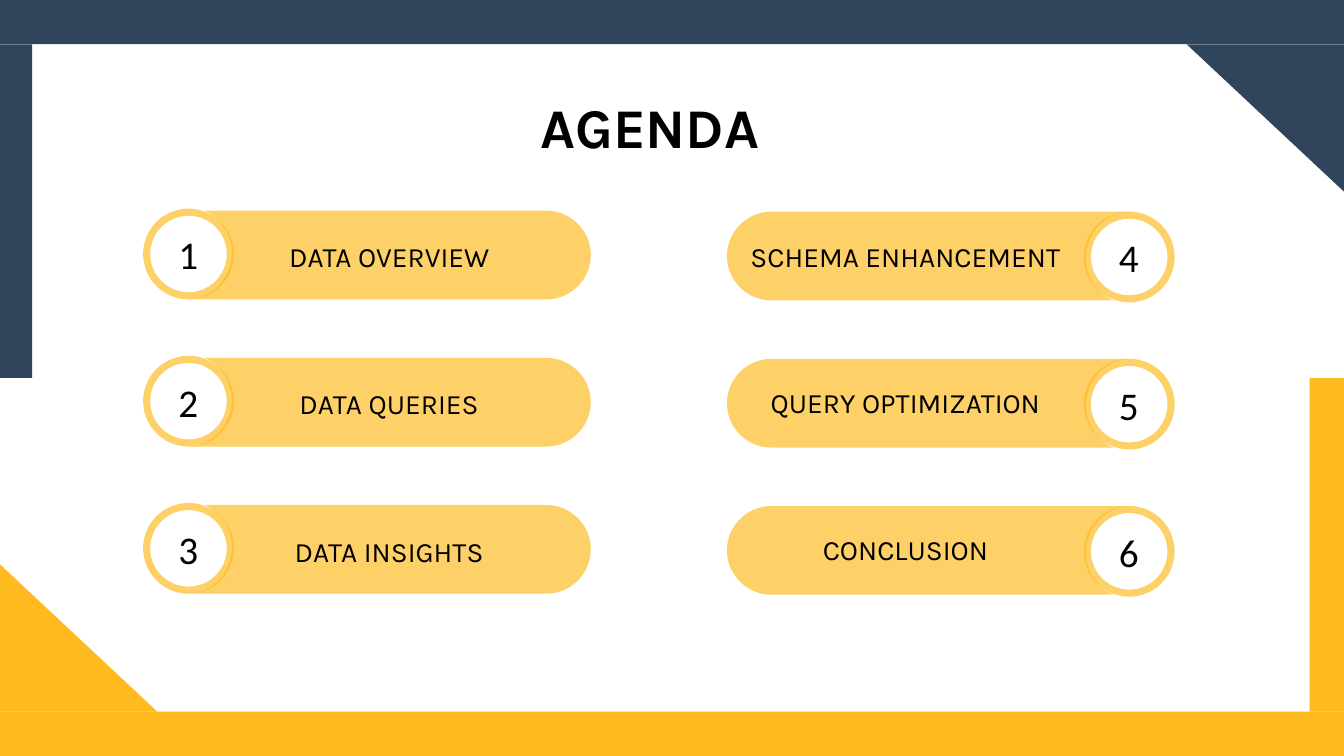
from lxml import etree
from pptx import Presentation, util as u
from pptx.dml.color import RGBColor
from pptx.enum import shapes, text
from pptx.oxml.ns import qn

W, H = 13.33, 7.5
HUES = {"navy": "30445B", "gold": "FEBA1E", "ink": "000000"}
KIND = shapes.MSO_SHAPE
ALIGN = text.PP_ALIGN

deck = Presentation()
deck.slide_width, deck.slide_height = u.Inches(W), u.Inches(H)
slide = deck.slides.add_slide(deck.slide_layouts[6])


def paint(shape, hue, alpha=None):
    """Fill without line or shadow; alpha is the opacity in percent."""
    shape.shadow.inherit = False
    shape.line.fill.background()
    shape.fill.solid()
    shape.fill.fore_color.rgb = RGBColor.from_string(HUES[hue])
    if alpha:
        color = shape.fill._xPr.find(".//" + qn("a:srgbClr"))
        etree.SubElement(color, qn("a:alpha")).set("val", str(alpha * 1000))


def write(home, words, at, wrap, align, **looks):
    box = home.add_textbox(*map(u.Inches, at))
    frame = box.text_frame
    frame.word_wrap = wrap
    frame.auto_size = text.MSO_AUTO_SIZE.SHAPE_TO_FIT_TEXT
    para = frame.paragraphs[0]
    para.alignment = align
    run = para.add_run()
    run.text = words
    for key, value in looks.items():
        setattr(run.font, key, value)
    run.font.color.rgb = RGBColor.from_string(HUES["ink"])


# Frame: navy from the top left, gold from the bottom right, with a slight bleed
bleed, band, side, wide, tall = 0.02, 0.44, 0.34, 1.58, 1.48
mid = H / 2
frame = [
    ("navy", KIND.RECTANGLE, -bleed, -bleed, W + bleed, band + bleed, 0),
    ("navy", KIND.RIGHT_TRIANGLE, W + bleed - wide, band, wide, tall, 180),
    ("navy", KIND.RECTANGLE, -bleed, band, side, mid - band, 0),
    ("gold", KIND.RECTANGLE, -bleed, H - band, W + bleed, band + bleed, 0),
    ("gold", KIND.RIGHT_TRIANGLE, -bleed, H - band - tall, wide, tall, 0),
    ("gold", KIND.RECTANGLE, W - side, mid, side, mid - band, 0),
]
for hue, kind, x, y, w, h, turn in frame:
    part = slide.shapes.add_shape(kind, *map(u.Inches, (x, y, w, h)))
    part.rotation = turn
    paint(part, hue)

write(slide.shapes, "AGENDA", (5.26, 0.87, 2.59, 0.77), False, ALIGN.LEFT,
      name="Karla", size=u.Pt(40), bold=True)

# Bar outline in thousandths of an inch: end point, then the handles of a curve
edge = [
    ((3558, 0), ()),
    ((4000, 440), ((3801, 0), (4000, 197))),
    ((3558, 880), ((4000, 683), (3801, 880))),
    ((0, 880), ()),
    ((440, 420), ((240, 880), (440, 670))),
    ((170, 0), ((440, 230), (330, 70))),
]

# Columns: ring left, bar left, bar top, ring lift, bar turn, label centre, label step, labels
cols = [
    (1.42, 1.86, 2.09, 0.02, 0, 3.86, 1.46,
     [("DATA OVERVIEW", 2.39), ("DATA QUERIES", 2.3), ("DATA INSIGHTS", 2.34)]),
    (10.75, 7.21, 2.1, 0, 180, 8.98, 1.45,
     [("SCHEMA ENHANCEMENT", 3.29), ("QUERY OPTIMIZATION", 3.22), ("CONCLUSION", 2.01)]),
]
step, ring, rim, first = 1.46, 0.9, 0.07, 2.33
for col, (left, start, top, lift, turn, mid, pitch, items) in enumerate(cols):
    for row, (label, wide) in enumerate(items):
        y = top + row * step
        group = slide.shapes.add_group_shape().shapes
        disc = group.add_shape(KIND.DONUT, *map(u.Inches, (left, y - lift, ring, ring)))
        disc.adjustments[0] = rim / ring
        paint(disc, "gold", 67)
        write(group, str(col * len(items) + row + 1), (left + 0.25, y - lift + 0.17, 0.4, 0.57),
              False, ALIGN.LEFT, name="Calibri", size=u.Pt(28))
        pen = group.build_freeform(160, 0, scale=u.Inches(1) / 1000)
        pen.add_line_segments([end for end, _ in edge], close=True)
        bar = pen.convert_to_shape(u.Inches(start), u.Inches(y))
        lines = list(bar._element.iter(qn("a:lnTo")))
        for line, (_, bends) in zip(lines, edge):
            if bends:
                curve = etree.Element(qn("a:cubicBezTo"))
                for px, py in bends:
                    etree.SubElement(curve, qn("a:pt"), x=str(px), y=str(py))
                line.addprevious(curve)
                curve.append(line[0])
                line.getparent().remove(line)
        bar.rotation = turn
        paint(bar, "gold", 67)

        write(slide.shapes, label, (mid - wide / 2, first + row * pitch, wide, 0.44),
              True, ALIGN.CENTER, name="Karla", size=u.Pt(20))

deck.save("out.pptx")
